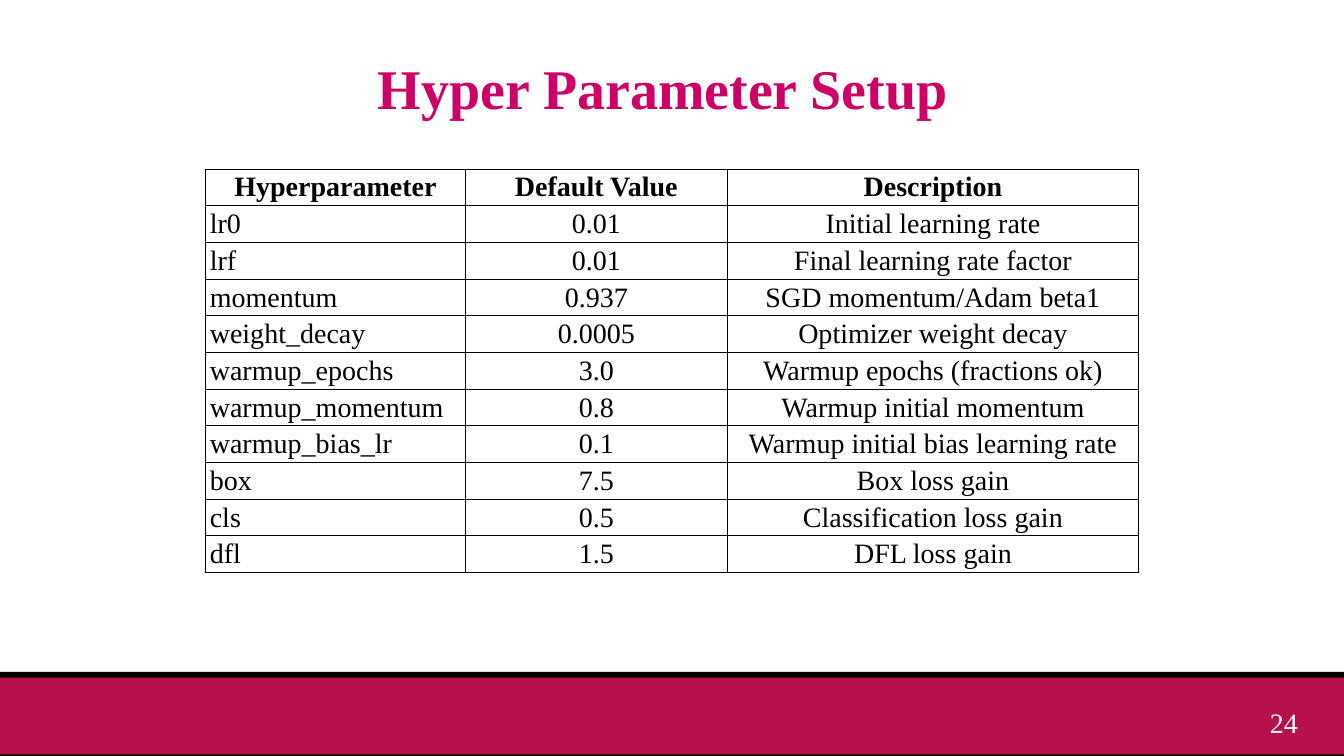
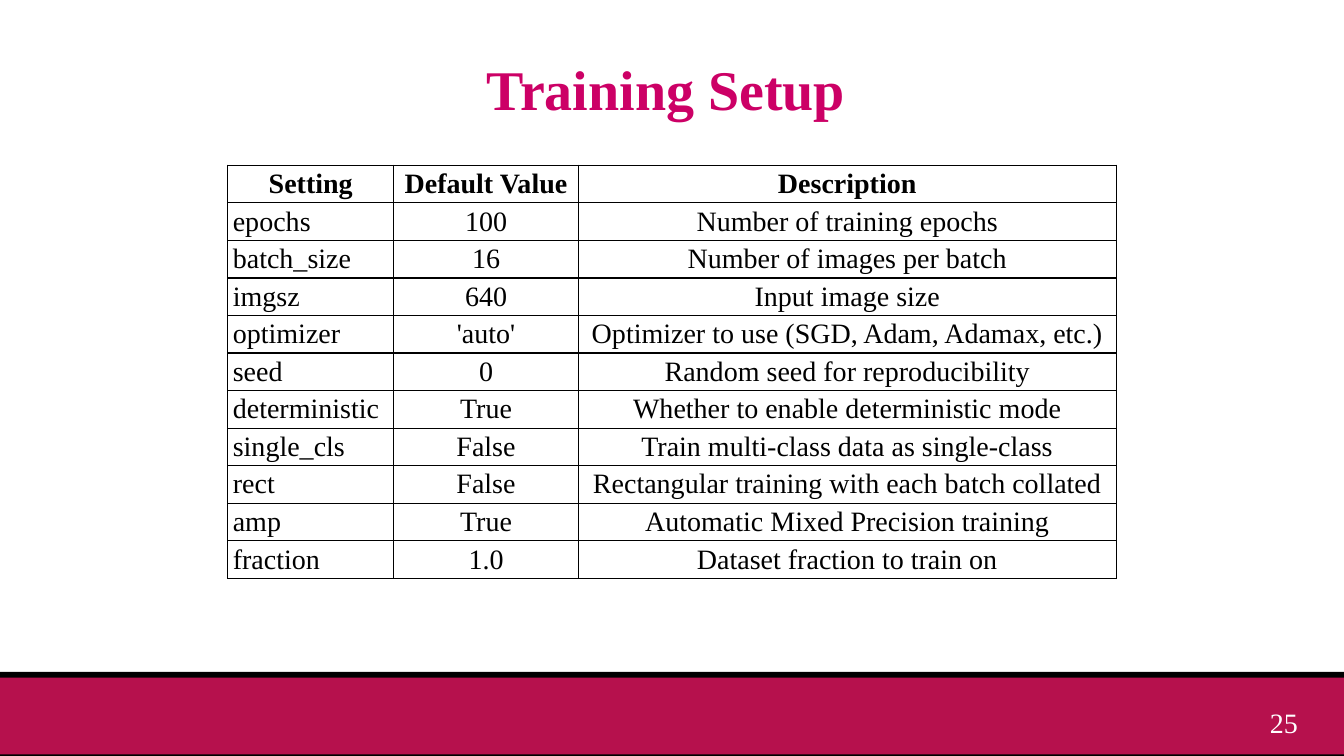
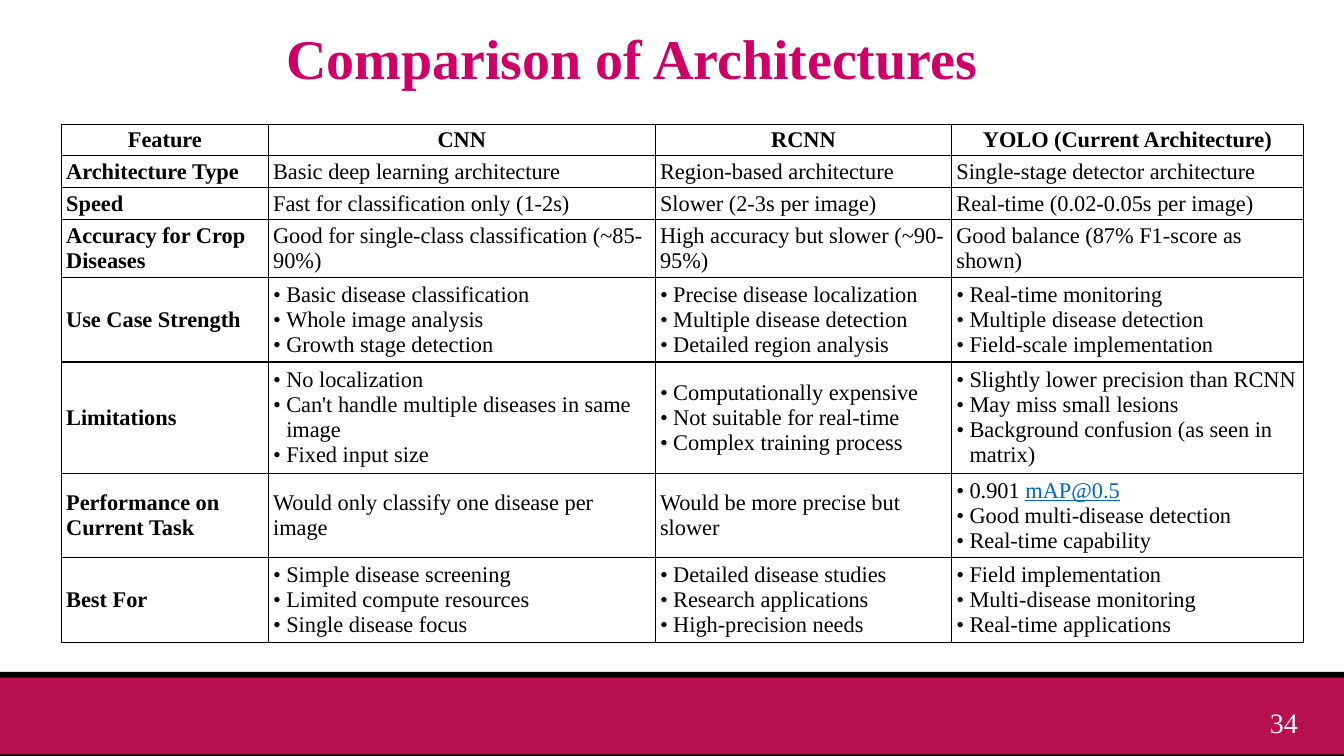
from lxml.etree import SubElement
from pptx import Presentation
from pptx.dml.color import RGBColor
from pptx.enum.shapes import MSO_SHAPE
from pptx.enum.text import MSO_ANCHOR, MSO_AUTO_SIZE, PP_ALIGN
from pptx.oxml.ns import qn
from pptx.util import Pt

# Shared look
FONT = "Times New Roman"
BLACK, WHITE, TITLE_PINK, BAND_RED, LINK_BLUE = "000000", "FFFFFF", "CC0066", "B6114D", "0563C1"
SLIDE_WIDTH, SLIDE_HEIGHT = 960, 540
TITLE_HEIGHT = 52.5
BULLET_INDENT = 9.4
LINK_TEXT = "mAP@0.5"
BANDS = [(480, 60, BLACK), (484, 55, BAND_RED)]  # top, height, colour


def rgb(hex_color):
    return RGBColor.from_string(hex_color)


def add_run(paragraph, text, size, color=BLACK, bold=False, underline=False):
    run = paragraph.add_run()
    run.text = text
    run.font.name = FONT
    run.font.size = Pt(size)
    run.font.bold = bold
    run.font.underline = underline
    run.font.color.rgb = rgb(color)


# Content: a list inside a cell is a bulleted list
hyperparameters = [
    ["Hyperparameter", "Default Value", "Description"],
    ["lr0", "0.01", "Initial learning rate"],
    ["lrf", "0.01", "Final learning rate factor"],
    ["momentum", "0.937", "SGD momentum/Adam beta1"],
    ["weight_decay", "0.0005", "Optimizer weight decay"],
    ["warmup_epochs", "3.0", "Warmup epochs (fractions ok)"],
    ["warmup_momentum", "0.8", "Warmup initial momentum"],
    ["warmup_bias_lr", "0.1", "Warmup initial bias learning rate"],
    ["box", "7.5", "Box loss gain"],
    ["cls", "0.5", "Classification loss gain"],
    ["dfl", "1.5", "DFL loss gain"],
]
training_settings = [
    ["Setting", "Default Value", "Description"],
    ["epochs", "100", "Number of training epochs"],
    ["batch_size", "16", "Number of images per batch"],
    ["imgsz", "640", "Input image size"],
    ["optimizer", "'auto'", "Optimizer to use (SGD, Adam, Adamax, etc.)"],
    ["seed", "0", "Random seed for reproducibility"],
    ["deterministic", "True", "Whether to enable deterministic mode"],
    ["single_cls", "False", "Train multi-class data as single-class"],
    ["rect", "False", "Rectangular training with each batch collated"],
    ["amp", "True", "Automatic Mixed Precision training"],
    ["fraction", "1.0", "Dataset fraction to train on"],
]
architectures = [
    ["Feature", "CNN", "RCNN", "YOLO (Current Architecture)"],
    ["Architecture Type", "Basic deep learning architecture",
     "Region-based architecture", "Single-stage detector architecture"],
    ["Speed", "Fast for classification only (1-2s)",
     "Slower (2-3s per image)", "Real-time (0.02-0.05s per image)"],
    ["Accuracy for Crop Diseases", "Good for single-class classification (~85-90%)",
     "High accuracy but slower (~90-95%)", "Good balance (87% F1-score as shown)"],
    ["Use Case Strength",
     ["Basic disease classification", "Whole image analysis", "Growth stage detection"],
     ["Precise disease localization", "Multiple disease detection", "Detailed region analysis"],
     ["Real-time monitoring", "Multiple disease detection", "Field-scale implementation"]],
    ["Limitations",
     ["No localization", "Can't handle multiple diseases in same image", "Fixed input size"],
     ["Computationally expensive", "Not suitable for real-time", "Complex training process"],
     ["Slightly lower precision than RCNN", "May miss small lesions",
      "Background confusion (as seen in matrix)"]],
    ["Performance on Current Task", "Would only classify one disease per image",
     "Would be more precise but slower",
     ["0.901 mAP@0.5", "Good multi-disease detection", "Real-time capability"]],
    ["Best For",
     ["Simple disease screening", "Limited compute resources", "Single disease focus"],
     ["Detailed disease studies", "Research applications", "High-precision needs"],
     ["Field implementation", "Multi-disease monitoring", "Real-time applications"]],
]

pages = [
    dict(number="24", title="Hyper Parameter Setup", title_at=(262.8, 38.9), title_width=434,
         rows=hyperparameters, table_at=(146.9, 120.8), column_widths=[185.6, 187, 294],
         row_heights=[25.25] * 11, insets=(3, 1.1), size=20, centred=True, bold_labels=False),
    dict(number="25", title="Training Setup", title_at=(340.6, 39.6), title_width=279.4,
         rows=training_settings, table_at=(162.7, 118.1), column_widths=[118.6, 131.8, 384.3],
         row_heights=[25.8] * 11, insets=(3.6, 1.4), size=20, centred=True, bold_labels=False),
    dict(number="34", title="Comparison of Architectures", title_at=(197.3, 17.3), title_width=581,
         rows=architectures, table_at=(43.9, 89), column_widths=[147.8, 276.4, 211.7, 251.2],
         row_heights=[21.4, 23, 23, 38.6, 56.5, 75, 56.5, 56.5], insets=(3.4, 1.4), size=16,
         centred=False, bold_labels=True),
]

presentation = Presentation()
presentation.slide_width = Pt(SLIDE_WIDTH)
presentation.slide_height = Pt(SLIDE_HEIGHT)
title_only = presentation.slide_layouts[5]

for page in pages:
    slide = presentation.slides.add_slide(title_only)

    # Footer bands
    for top, height, color in BANDS:
        band = slide.shapes.add_shape(MSO_SHAPE.RECTANGLE, 0, Pt(top), Pt(SLIDE_WIDTH), Pt(height))
        band.shadow.inherit = False
        band.fill.solid()
        band.fill.fore_color.rgb = rgb(color)
        band.line.fill.background()

    # Page number
    page_number = slide.shapes.add_textbox(Pt(900), Pt(500.4), Pt(48), Pt(29)).text_frame
    page_number.word_wrap = True
    add_run(page_number.paragraphs[0], page["number"], 20, WHITE)

    # Title
    title = slide.shapes.title
    title.left, title.top = map(Pt, page["title_at"])
    title.width, title.height = Pt(page["title_width"]), Pt(TITLE_HEIGHT)
    title.text_frame.auto_size = MSO_AUTO_SIZE.NONE
    title.text_frame.vertical_anchor = MSO_ANCHOR.MIDDLE
    heading = title.text_frame.paragraphs[0]
    heading.alignment = PP_ALIGN.LEFT
    heading.line_spacing = 0.9
    add_run(heading, page["title"], 40, TITLE_PINK, bold=True)

    # Table grid
    rows, widths, heights = page["rows"], page["column_widths"], page["row_heights"]
    left, top = page["table_at"]
    table = slide.shapes.add_table(len(rows), len(widths), Pt(left), Pt(top),
                                   Pt(sum(widths)), Pt(sum(heights))).table
    table.first_row = table.horz_banding = False
    for column, width in zip(table.columns, widths):
        column.width = Pt(width)
    for row, height in zip(table.rows, heights):
        row.height = Pt(height)

    # Table cells
    side_inset, edge_inset = page["insets"]
    for r, row in enumerate(rows):
        for c, content in enumerate(row):
            cell = table.cell(r, c)
            cell.vertical_anchor = MSO_ANCHOR.MIDDLE
            cell.margin_left = cell.margin_right = Pt(side_inset)
            cell.margin_top = cell.margin_bottom = Pt(edge_inset)
            properties = cell._tc.get_or_add_tcPr()
            for side in ("a:lnL", "a:lnR", "a:lnT", "a:lnB"):
                border = SubElement(properties, qn(side), w=str(Pt(1)))
                SubElement(SubElement(border, qn("a:solidFill")), qn("a:srgbClr"), val=BLACK)
            cell.fill.background()

            bulleted = isinstance(content, list)
            centred = r == 0 or (page["centred"] and c > 0)
            bold = r == 0 or (page["bold_labels"] and c == 0)
            for i, line in enumerate(content if bulleted else [content]):
                frame = cell.text_frame
                paragraph = frame.add_paragraph() if i else frame.paragraphs[0]
                paragraph.alignment = PP_ALIGN.CENTER if centred else PP_ALIGN.LEFT
                if bulleted:
                    layout = paragraph._p.get_or_add_pPr()
                    layout.set("marL", str(Pt(BULLET_INDENT)))
                    layout.set("indent", str(-Pt(BULLET_INDENT)))
                    SubElement(layout, qn("a:buFont"), typeface=FONT)
                    SubElement(layout, qn("a:buChar"), char="•")
                plain, link, _ = line.partition(LINK_TEXT)
                add_run(paragraph, plain, page["size"], bold=bold)
                if link:
                    add_run(paragraph, link, page["size"], LINK_BLUE, underline=True)

presentation.save("out.pptx")
